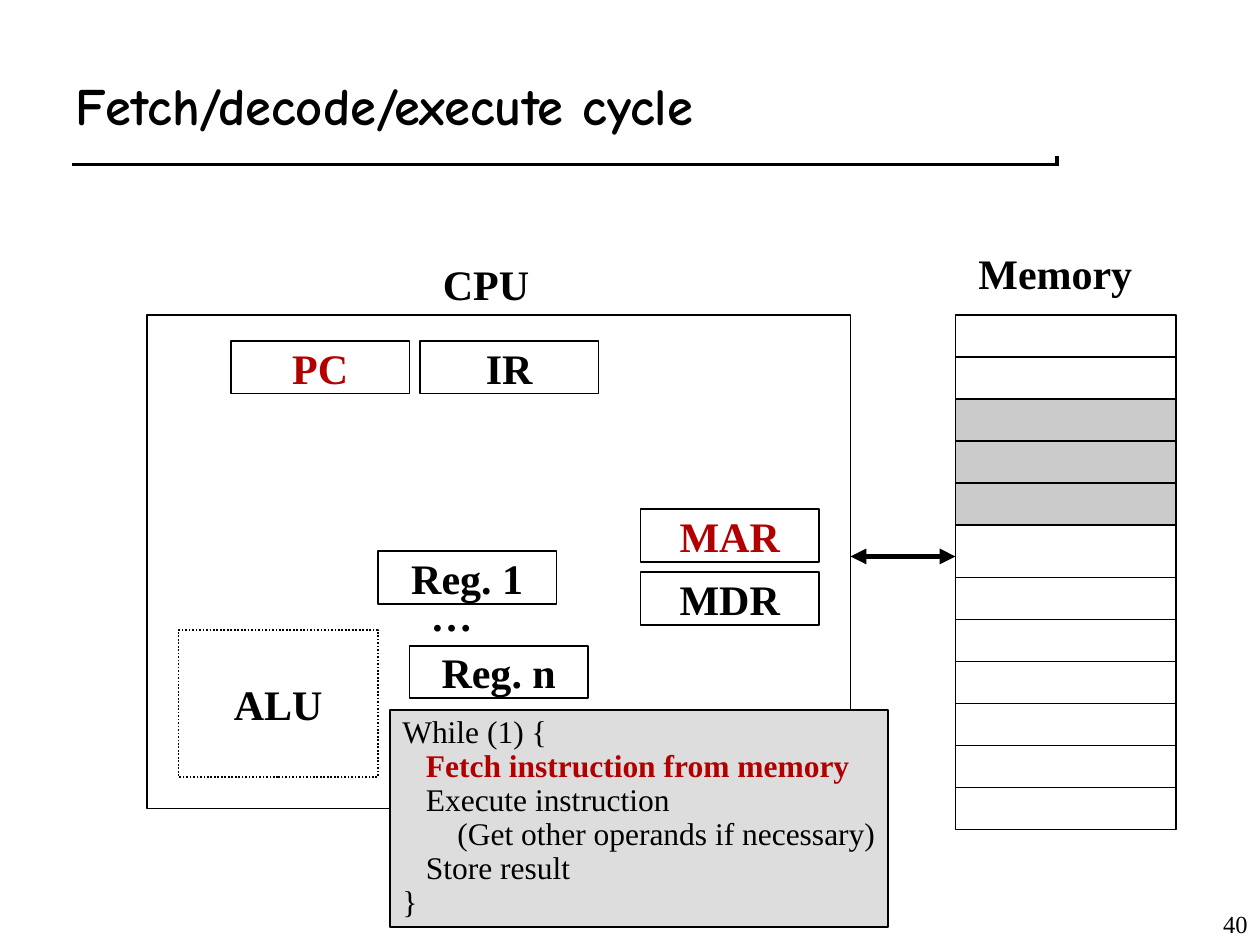
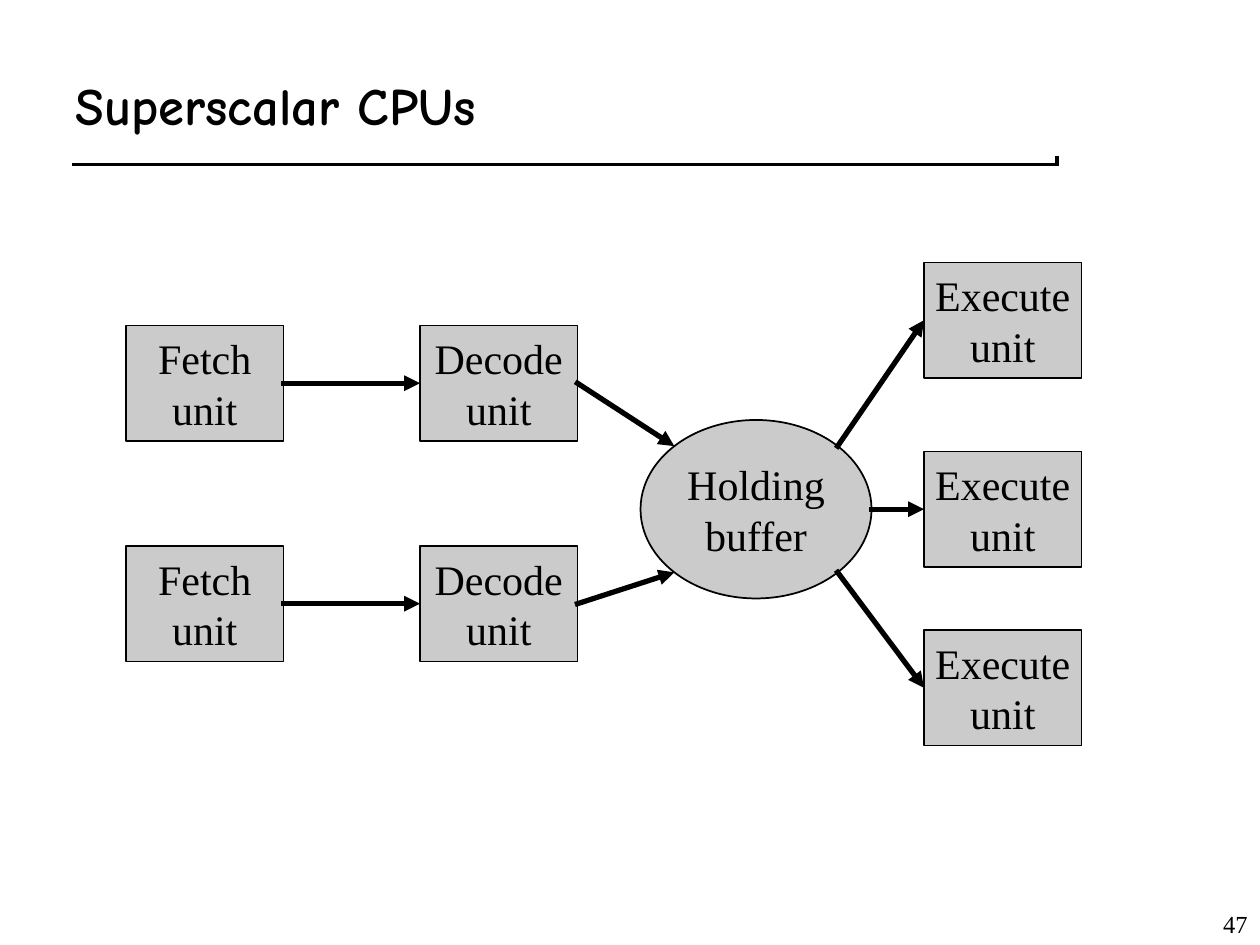
from math import sqrt

from lxml.etree import SubElement
from pptx import Presentation
from pptx.dml.color import RGBColor
from pptx.enum.dml import MSO_LINE
from pptx.enum.shapes import MSO_CONNECTOR, MSO_SHAPE
from pptx.enum.text import MSO_ANCHOR as ANCHOR, PP_ALIGN as ALIGN
from pptx.oxml.ns import qn
from pptx.util import Pt

BLACK = RGBColor(0x00, 0x00, 0x00)
WHITE = RGBColor(0xFF, 0xFF, 0xFF)
RED = RGBColor(0xB2, 0x00, 0x00)
GRAY = RGBColor(0xCB, 0xCB, 0xCB)
LIGHT_GRAY = RGBColor(0xDD, 0xDD, 0xDD)

TITLE = {"name": "Comic Neue", "size": Pt(30), "bold": True}
LABEL = {"name": "Times New Roman", "size": Pt(24), "bold": True}
UNIT = LABEL | {"bold": False}
CODE = UNIT | {"size": Pt(18)}
NUMBER = UNIT | {"size": Pt(14)}


def add_box(slide, kind, area, lines=(), font=LABEL, color=BLACK, fill=None,
            align=ALIGN.CENTER, anchor=ANCHOR.MIDDLE, wrap=False):
    area = [Pt(length) for length in area]
    if kind is None:
        shape = slide.shapes.add_textbox(*area)
    else:
        shape = slide.shapes.add_shape(kind, *area)
        shape.shadow.inherit = False
        shape.line.color.rgb = BLACK
        shape.line.width = Pt(1)
        if fill is None:
            shape.fill.background()
        else:
            shape.fill.solid()
            shape.fill.fore_color.rgb = fill
    frame = shape.text_frame
    frame.word_wrap = wrap
    frame.vertical_anchor = anchor
    frame.text = "\n".join(lines)
    for paragraph in frame.paragraphs:
        paragraph.alignment = align
        for run in paragraph.runs:
            for name, value in font.items():
                setattr(run.font, name, value)
            run.font.color.rgb = color
    return shape


def add_line(slide, start, end, width=1, color=BLACK, heads=()):
    points = [Pt(length) for length in (*start, *end)]
    line = slide.shapes.add_connector(MSO_CONNECTOR.STRAIGHT, *points)
    line.line.color.rgb = color
    line.line.width = Pt(width)
    properties = line.line._get_or_add_ln()
    properties.set("cap", "sq")
    for head in heads:
        SubElement(properties, qn(f"a:{head}"), type="triangle")
    SubElement(line._element.spPr, qn("a:effectLst"))
    return line


presentation = Presentation()
presentation.slide_width = Pt(720)
presentation.slide_height = Pt(540)

slides = []
for title, number in [("Fetch/decode/execute cycle", "40"), ("Superscalar CPUs", "47")]:
    slide = presentation.slides.add_slide(presentation.slide_layouts[6])
    add_line(slide, (44, 92), (602, 92), 6)
    add_line(slide, (42, 90), (600, 90), 6, WHITE)
    add_box(slide, None, (36, 24, 624, 72), [title], TITLE, align=ALIGN.LEFT, wrap=True)
    add_box(slide, None, (570, 504, 150, 36), [number], NUMBER,
            align=ALIGN.RIGHT, anchor=ANCHOR.BOTTOM, wrap=True)
    slides.append(slide)
cycle_slide, superscalar_slide = slides

add_box(cycle_slide, MSO_SHAPE.RECTANGLE, (84, 180, 402, 282))
registers = [
    ("PC", 132, 195, RED),
    ("IR", 240, 195, BLACK),
    ("MAR", 366, 291, RED),
    ("MDR", 366, 327, BLACK),
    ("Reg. 1", 216, 315, BLACK),
    ("Reg. n", 234, 369, BLACK),
]
for name, left, top, color in registers:
    add_box(cycle_slide, MSO_SHAPE.RECTANGLE, (left, top, 102, 30), [name], color=color)
alu = add_box(cycle_slide, MSO_SHAPE.RECTANGLE, (102, 360, 114, 84), ["ALU"])
alu.line.dash_style = MSO_LINE.ROUND_DOT

captions = [("CPU", 246, 144, 72), ("Memory", 552, 138, 120), ("…", 239, 333, 48)]
for caption, left, top, width in captions:
    add_box(cycle_slide, None, (left, top, width, 36), [caption], align=ALIGN.LEFT, wrap=True)

add_box(cycle_slide, MSO_SHAPE.RECTANGLE, (546, 228, 126, 72), fill=GRAY)
add_box(cycle_slide, MSO_SHAPE.RECTANGLE, (546, 180, 126, 294))
for top in [204, 252, 276, *range(330, 451, 24)]:
    add_line(cycle_slide, (546, top), (672, top))
add_line(cycle_slide, (486, 318), (546, 318), 3, heads=("headEnd", "tailEnd"))

code_lines = [
    "While (1) {",
    "   Fetch instruction from memory",
    "   Execute instruction",
    "       (Get other operands if necessary)",
    "   Store result",
    "}",
]
code = add_box(cycle_slide, MSO_SHAPE.RECTANGLE, (222.8, 405.7, 284.5, 124), code_lines, CODE,
               fill=LIGHT_GRAY, align=ALIGN.LEFT, anchor=ANCHOR.TOP)
for paragraph in code.text_frame.paragraphs:
    paragraph.line_spacing = 0.9
fetch_font = code.text_frame.paragraphs[1].runs[0].font
fetch_font.bold = True
fetch_font.color.rgb = RED

left, top, width, height = buffer_area = (366, 240, 132, 102)
center_x, center_y = left + width / 2, top + height / 2
diagonal_x, diagonal_y = width / sqrt(8), height / sqrt(8)
add_box(superscalar_slide, MSO_SHAPE.OVAL, buffer_area, ["Holding", "buffer"], UNIT, fill=GRAY)

for top, side in [(186, -1), (312, 1)]:
    fetch, decode = [
        add_box(superscalar_slide, MSO_SHAPE.RECTANGLE, (left, top, 90, 66),
                [name, "unit"], UNIT, fill=GRAY)
        for name, left in [("Fetch", 72), ("Decode", 240)]
    ]
    middle = top + 33
    arrow = add_line(superscalar_slide, (162, middle), (240, middle), 3, heads=["tailEnd"])
    arrow.begin_connect(fetch, 3)
    arrow.end_connect(decode, 1)
    buffer_point = (center_x - diagonal_x, center_y + side * diagonal_y)
    arrow = add_line(superscalar_slide, (330, middle), buffer_point, 3, heads=["tailEnd"])
    arrow.begin_connect(decode, 3)

buffer_exits = [
    (150, center_x + diagonal_x, center_y - diagonal_y),
    (258, center_x + width / 2, center_y),
    (360, center_x + diagonal_x, center_y + diagonal_y),
]
for top, exit_x, exit_y in buffer_exits:
    execute = add_box(superscalar_slide, MSO_SHAPE.RECTANGLE, (528, top, 90, 66),
                      ["Execute", "unit"], UNIT, fill=GRAY)
    arrow = add_line(superscalar_slide, (exit_x, exit_y), (528, top + 33), 3, heads=["tailEnd"])
    arrow.end_connect(execute, 1)

presentation.save("out.pptx")
